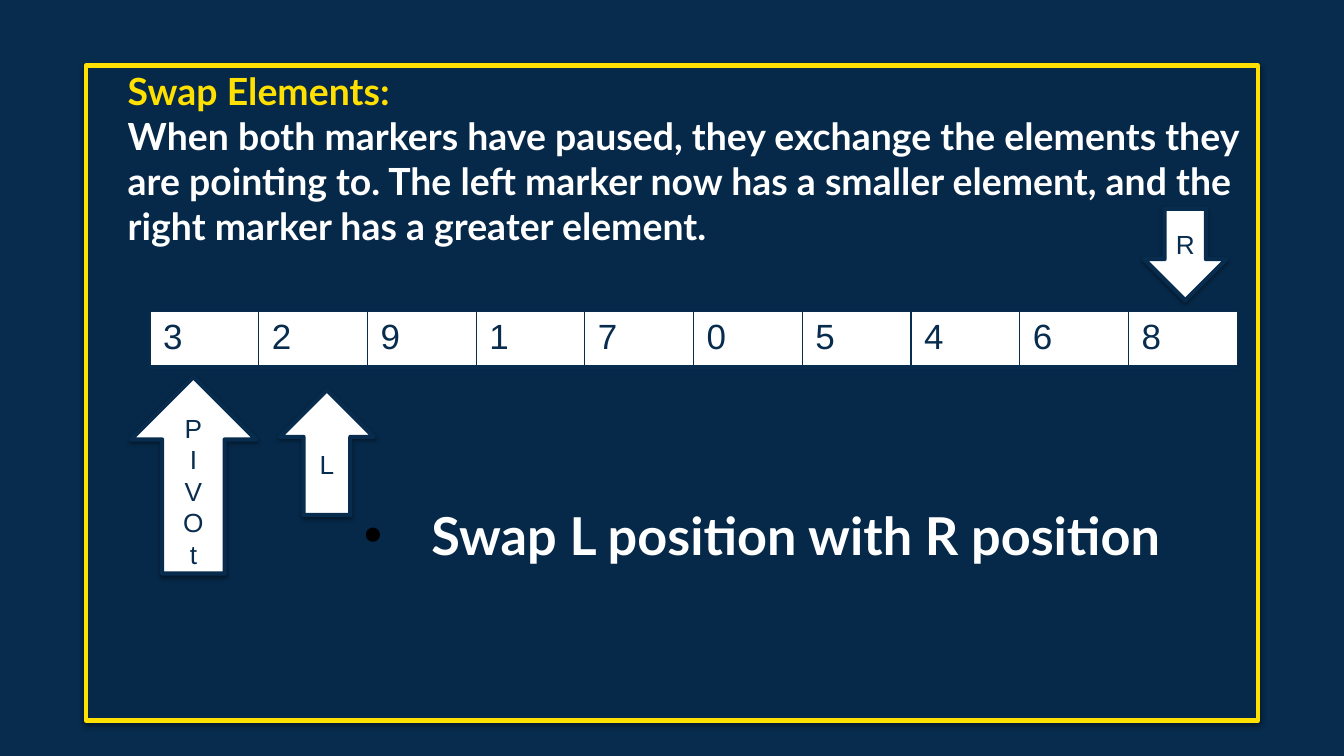
from dataclasses import dataclass

from lxml.etree import SubElement
from pptx import Presentation
from pptx.dml.color import RGBColor as Rgb
from pptx.enum.shapes import MSO_SHAPE as Shape
from pptx.enum.text import MSO_ANCHOR as Anchor, PP_ALIGN as Align
from pptx.oxml.ns import qn
from pptx.util import Cm, Pt

COLORS = {"navy": "072C4E", "gold": "FFE000", "white": "FFFFFF", "black": "000000"}
VALUES = [3, 2, 9, 1, 7, 0, 5, 4, 6, 8]
CELL = 2.74


@dataclass
class Arrow:
    label: str
    kind: Shape
    left: float
    top: float
    width: float
    height: float


ARROWS = [
    Arrow("P\nI\nV\nO\nt", Shape.UP_ARROW, 3.3, 9.5, 3.15, 4.95),
    Arrow("L", Shape.UP_ARROW, 7.06, 9.83, 2.36, 3.15),
    Arrow("R", Shape.DOWN_ARROW, 28.83, 5.26, 2.08, 2.31),
]


def tint(name: str) -> Rgb:
    return Rgb.from_string(COLORS[name])


def solid(parent, name: str):
    """Append a solid fill and return its colour element."""
    fill = SubElement(parent, qn("a:solidFill"))
    return SubElement(fill, qn("a:srgbClr"), val=COLORS[name])


def shade(effects, alpha: int, blur: float, dist: float) -> None:
    """Add a shadow that falls straight down to an effect list."""
    outer = SubElement(effects, qn("a:outerShdw"), blurRad=str(Pt(blur)),
                       dist=str(Pt(dist)), dir="5400000", algn="ctr", rotWithShape="0")
    color = SubElement(outer, qn("a:srgbClr"), val=COLORS["black"])
    SubElement(color, qn("a:alpha"), val=str(alpha * 1000))


def style(par, size: float, color: str, face: str = "Arial", bold: bool = False) -> None:
    for run in par.runs:
        font = run.font
        font.size, font.name, font.bold = Pt(size), face, bold
        font.color.rgb = tint(color)


def glow(par) -> None:
    """Give the runs of a heading a soft text shadow."""
    for run in par.runs:
        props = run.font._element
        effects = SubElement(props, qn("a:effectLst"))
        props.find(qn("a:solidFill")).addnext(effects)
        shade(effects, 50, 3, 3)


def add_block(slide, kind: Shape, box: tuple, fill: str, line: str, cast: tuple):
    block = slide.shapes.add_shape(kind, *map(Cm, box))
    block.fill.solid()
    block.fill.fore_color.rgb = tint(fill)
    block.line.color.rgb = tint(line)
    block.line.width = Pt(3)
    block.shadow.inherit = False
    shade(block._element.spPr.find(qn("a:effectLst")), *cast)
    return block


def add_frame(slide) -> None:
    frame = add_block(slide, Shape.RECTANGLE, (2.16, 1.65, 29.54, 16.51),
                      "navy", "gold", (50, 4.5, 1.5))
    color = frame._element.spPr.find(qn("a:solidFill"))[0]
    SubElement(color, qn("a:alpha"), val="86000")


def add_text(slide, box: tuple, text: str, side: float, edge: float):
    frame = slide.shapes.add_textbox(*map(Cm, box)).text_frame
    frame.word_wrap = True
    frame.margin_left = frame.margin_right = Cm(side)
    frame.margin_top = frame.margin_bottom = Cm(edge)
    frame.text = text
    return frame.paragraphs


def add_intro(slide) -> None:
    text = ("Swap Elements:\nWhen both markers have paused, they exchange the elements "
            "they are pointing to. The left marker now has a smaller element, "
            "and the right marker has a greater element.")
    pars = add_text(slide, (2.97, 1.47, 29.54, 6.55), text, 0.25, 0.25)
    for par, color in zip(pars, ("gold", "white")):
        style(par, 26.7, color, "Lato", True)
        glow(par)


def add_step(slide) -> None:
    par = add_text(slide, (8.84, 12.5, 24, 2.5), "Swap L position with R position",
                   0.33, 0.18)[0]
    props = par._p.get_or_add_pPr()
    props.set("marL", str(Cm(1.7)))
    props.set("indent", str(-Cm(1.7)))
    color = SubElement(props, qn("a:buClr"))
    SubElement(color, qn("a:srgbClr"), val=COLORS["black"])
    SubElement(props, qn("a:buFont"), typeface="Arial")
    SubElement(props, qn("a:buChar"), char="•")
    style(par, 37.3, "white", "Lato", True)
    glow(par)


def add_array(slide) -> None:
    count = len(VALUES)
    table = slide.shapes.add_table(1, count, Cm(3.78), Cm(7.85),
                                   Cm(CELL * count), Cm(1.4)).table
    for col, value in enumerate(VALUES):
        table.columns[col].width = Cm(CELL)
        cell = table.cell(0, col)
        cell.text_frame.text = str(value)
        style(cell.text_frame.paragraphs[0], 25, "navy")
        cell.margin_left = cell.margin_right = Cm(0.33)
        cell.margin_top = cell.margin_bottom = Cm(0.17)
        props = cell._tc.get_or_add_tcPr()
        for side, width in (("L", 1), ("R", 1), ("T", 1), ("B", 3)):
            solid(SubElement(props, qn(f"a:ln{side}"), w=str(Pt(width))), "navy")
        cell.fill.solid()
        cell.fill.fore_color.rgb = tint("white")


def add_arrow(slide, arrow: Arrow) -> None:
    box = (arrow.left, arrow.top, arrow.width, arrow.height)
    frame = add_block(slide, arrow.kind, box, "white", "navy", (38, 3.1, 1.6)).text_frame
    frame.word_wrap = True
    frame.vertical_anchor = Anchor.MIDDLE
    frame.margin_left = frame.margin_right = 0
    frame.text = arrow.label
    for par in frame.paragraphs:
        par.alignment = Align.CENTER
        style(par, 18.7, "navy")


def main() -> None:
    deck = Presentation()
    deck.slide_width, deck.slide_height = Cm(33.87), Cm(19.05)
    slide = deck.slides.add_slide(deck.slide_layouts[6])
    slide.background.fill.solid()
    slide.background.fill.fore_color.rgb = tint("navy")
    add_frame(slide)
    add_intro(slide)
    add_array(slide)
    add_step(slide)
    for arrow in ARROWS:
        add_arrow(slide, arrow)
    deck.save("out.pptx")


if __name__ == "__main__":
    main()
